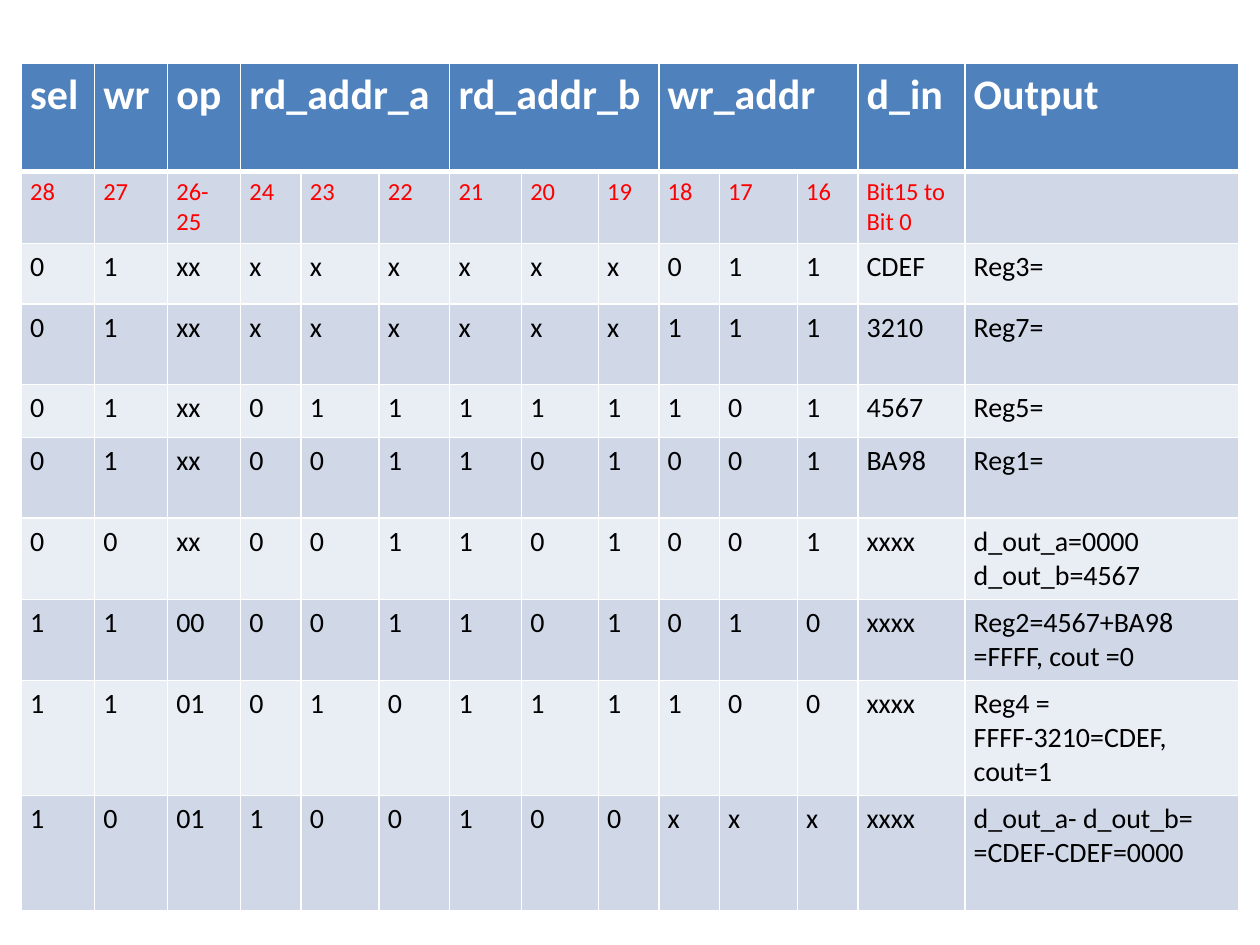
from dataclasses import dataclass

from lxml.etree import SubElement
from pptx import Presentation
from pptx.dml.color import RGBColor
from pptx.oxml.ns import qn
from pptx.table import Table, _Cell
from pptx.util import Inches, Pt

WHITE = RGBColor(0xFF, 0xFF, 0xFF)
BLACK = RGBColor(0x00, 0x00, 0x00)
RED = RGBColor(0xFF, 0x00, 0x00)
HEADER_BLUE = RGBColor(0x4F, 0x81, 0xBD)
DARK_BAND = RGBColor(0xD0, 0xD8, 0xE8)
LIGHT_BAND = RGBColor(0xE9, 0xED, 0xF4)

COLUMN_WIDTHS = (0.58, 0.58, 0.58, 0.48, 0.62, 0.56, 0.57, 0.61,
                 0.48, 0.48, 0.62, 0.48, 0.85, 2.17)


@dataclass(frozen=True)
class HeaderField:
    name: str
    span: int = 1


@dataclass(frozen=True)
class Instruction:
    """Space-separated control bits, followed by the data input and the output."""
    bits: str
    d_in: str
    output: str
    height: float

    def values(self) -> list[str]:
        return [*self.bits.split(), self.d_in, self.output]


@dataclass(frozen=True)
class CellStyle:
    fill: RGBColor
    color: RGBColor = BLACK
    size: int = 16
    bold: bool = False
    bottom_width: int = 1


HEADER_HEIGHT = 0.86
HEADER_FIELDS = (
    HeaderField("sel"), HeaderField("wr"), HeaderField("op"),
    HeaderField("rd_addr_a", 3), HeaderField("rd_addr_b", 3),
    HeaderField("wr_addr", 3), HeaderField("d_in"), HeaderField("Output"),
)
HEADER_STYLE = CellStyle(HEADER_BLUE, WHITE, 24, True, 3)
BIT_NUMBER_STYLE = CellStyle(DARK_BAND, RED, 14)

ROWS = (
    Instruction("28 27 26-25 24 23 22 21 20 19 18 17 16", "Bit15 to\nBit 0", "", 0.57),
    Instruction("0 1 xx x x x x x x 0 1 1", "CDEF", "Reg3=", 0.48),
    Instruction("0 1 xx x x x x x x 1 1 1", "3210", "Reg7=", 0.64),
    Instruction("0 1 xx 0 1 1 1 1 1 1 0 1", "4567", "Reg5=", 0.42),
    Instruction("0 1 xx 0 0 1 1 0 1 0 0 1", "BA98", "Reg1=", 0.64),
    Instruction("0 0 xx 0 0 1 1 0 1 0 0 1", "xxxx", "d_out_a=0000\nd_out_b=4567", 0.64),
    Instruction("1 1 00 0 0 1 1 0 1 0 1 0", "xxxx", "Reg2=4567+BA98\n=FFFF, cout =0", 0.64),
    Instruction("1 1 01 0 1 0 1 1 1 1 0 0", "xxxx", "Reg4 =\nFFFF-3210=CDEF,\ncout=1", 0.91),
    Instruction("1 0 01 1 0 0 1 0 0 x x x", "xxxx", "d_out_a- d_out_b=\n=CDEF-CDEF=0000", 0.91),
)


def add_borders(cell: _Cell, bottom_width: int) -> None:
    properties = cell._tc.get_or_add_tcPr()
    for side, width in (("L", 1), ("R", 1), ("T", 1), ("B", bottom_width)):
        line = SubElement(properties, qn(f"a:ln{side}"), w=str(Pt(width)))
        fill = SubElement(line, qn("a:solidFill"))
        SubElement(fill, qn("a:srgbClr"), val=str(WHITE))


def format_cell(cell: _Cell, style: CellStyle) -> None:
    add_borders(cell, style.bottom_width)
    cell.fill.solid()
    cell.fill.fore_color.rgb = style.fill
    cell.margin_left = cell.margin_right = Inches(0.07)
    cell.margin_top = cell.margin_bottom = Inches(0.05)
    for paragraph in cell.text_frame.paragraphs:
        for run in paragraph.runs:
            run.font.name = "Calibri"
            run.font.size = Pt(style.size)
            run.font.bold = style.bold
            run.font.color.rgb = style.color


def fill_header(table: Table) -> None:
    column = 0
    for field in HEADER_FIELDS:
        cell = table.cell(0, column)
        if field.span > 1:
            cell.merge(table.cell(0, column + field.span - 1))
        cell.text_frame.text = field.name
        column += field.span
    for cell in table.rows[0].cells:
        format_cell(cell, HEADER_STYLE)


def fill_row(table: Table, number: int, instruction: Instruction) -> None:
    if number == 1:
        style = BIT_NUMBER_STYLE
    else:
        style = CellStyle(DARK_BAND if number % 2 else LIGHT_BAND)
    for cell, value in zip(table.rows[number].cells, instruction.values()):
        cell.text_frame.text = value
        format_cell(cell, style)


def main() -> None:
    presentation = Presentation()
    presentation.slide_width = Inches(10)
    presentation.slide_height = Inches(7.5)
    slide = presentation.slides.add_slide(presentation.slide_layouts[6])

    heights = [HEADER_HEIGHT, *(row.height for row in ROWS)]
    table = slide.shapes.add_table(
        len(heights), len(COLUMN_WIDTHS), Inches(0.17), Inches(0.5),
        Inches(sum(COLUMN_WIDTHS)), Inches(sum(heights))).table
    for column, width in zip(table.columns, COLUMN_WIDTHS):
        column.width = Inches(width)
    for row, height in zip(table.rows, heights):
        row.height = Inches(height)

    fill_header(table)
    for number, instruction in enumerate(ROWS, start=1):
        fill_row(table, number, instruction)

    presentation.save("out.pptx")


if __name__ == "__main__":
    main()
